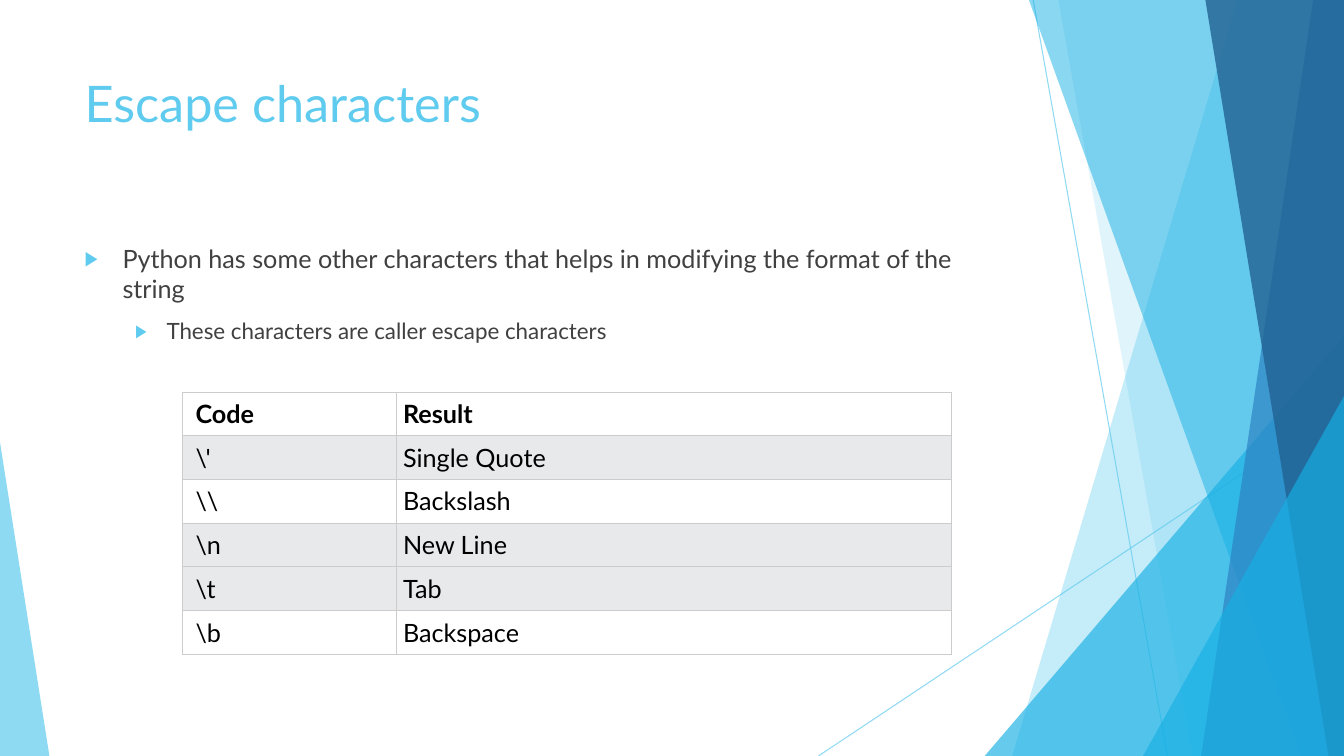
"""Build the slide about escape characters in Python strings."""
from lxml.etree import SubElement
from pptx import Presentation
from pptx.dml.color import RGBColor
from pptx.enum.shapes import MSO_CONNECTOR, MSO_SHAPE
from pptx.enum.text import MSO_ANCHOR, MSO_AUTO_SIZE, PP_ALIGN
from pptx.oxml.ns import qn
from pptx.util import Pt

COLORS = {
    "sky": "5FCBEF", "cyan": "17B0E4", "blue": "2E83C3", "navy": "226292",
    "text": "404040", "black": "000000", "white": "FFFFFF",
    "band": "E7E9EB", "border": "CCCCCC",
}
FONT = "Lato"
WIDTH, HEIGHT = 960, 540


def add_run(paragraph, text, size, color, bold=False):
    run = paragraph.add_run()
    run.text = text
    run.font.name = FONT
    run.font.size = Pt(size)
    run.font.bold = bold
    run.font.color.rgb = RGBColor.from_string(COLORS[color])


def set_alpha(shape, percent):
    for color in shape._element.spPr.iter(qn("a:srgbClr")):
        SubElement(color, qn("a:alpha"), val=str(percent * 1000))


presentation = Presentation()
presentation.slide_width = Pt(WIDTH)
presentation.slide_height = Pt(HEIGHT)
slide = presentation.slides.add_slide(presentation.slide_layouts[1])
shapes = slide.shapes
title, body = shapes.title, slide.placeholders[1]

for start_x, start_y, end_x in [(738, 0, 834), (WIDTH, 290, 584.6)]:
    line = shapes.add_connector(
        MSO_CONNECTOR.STRAIGHT, Pt(start_x), Pt(start_y), Pt(end_x), Pt(HEIGHT))
    line.line.width = Pt(0.75)
    line.line.color.rgb = RGBColor.from_string(COLORS["sky"])
    set_alpha(line, 70)
    SubElement(line._element.spPr, qn("a:effectLst"))

facets = [
    ("panel", (884, 723), "sky", 36),
    ("panel", (756, 852), "sky", 20),
    ("triangle", (703.4, 239.8, 256.6, 1), "cyan", 66),
    ("panel", (735, 929.5), "cyan", 50),
    ("panel", (938, 858), "blue", 70),
    ("panel", (861, 949), "navy", 80),
    ("triangle", (816.5, 283, 143.5, 1), "cyan", 66),
    ("triangle", (0, 316, 35.3, 0), "sky", 70),
]
for kind, geometry, color, opacity in facets:
    if kind == "panel":
        top_x, bottom_x = geometry
        builder = shapes.build_freeform(Pt(top_x), 0)
        corners = [(WIDTH, 0), (WIDTH, HEIGHT), (bottom_x, HEIGHT)]
        builder.add_line_segments([(Pt(x), Pt(y)) for x, y in corners], close=True)
        facet = builder.convert_to_shape()
    else:
        left, top, width, apex = geometry
        facet = shapes.add_shape(
            MSO_SHAPE.ISOSCELES_TRIANGLE, Pt(left), Pt(top), Pt(width), Pt(HEIGHT - top))
        facet.adjustments[0] = apex
    facet.shadow.inherit = False
    facet.line.fill.background()
    facet.fill.solid()
    facet.fill.fore_color.rgb = RGBColor.from_string(COLORS[color])
    set_alpha(facet, opacity)

for placeholder, top, height in [(title, 48, 104), (body, 170, 305.5)]:
    placeholder.left, placeholder.top = Pt(53.3), Pt(top)
    placeholder.width, placeholder.height = Pt(677), Pt(height)
    frame = placeholder.text_frame
    frame.word_wrap = True
    frame.auto_size = MSO_AUTO_SIZE.NONE
    frame.vertical_anchor = MSO_ANCHOR.TOP
    shapes._spTree.append(placeholder._element)

heading = title.text_frame.paragraphs[0]
heading.alignment = PP_ALIGN.LEFT
add_run(heading, "Escape characters", 36, "sky")

points = [
    ("Python has some other characters that helps in modifying the format of the string",
     18, 27, -27),
    ("These characters are caller escape characters", 16, 58.5, -22.5),
]
for level, (text, size, margin, indent) in enumerate(points):
    frame = body.text_frame
    paragraph = frame.add_paragraph() if level else frame.paragraphs[0]
    paragraph.level = level
    paragraph.space_before = Pt(10 * level)
    properties = paragraph._p.get_or_add_pPr()
    properties.set("marL", str(Pt(margin)))
    properties.set("indent", str(Pt(indent)))
    bullet_color = SubElement(properties, qn("a:buClr"))
    SubElement(bullet_color, qn("a:srgbClr"), val=COLORS["sky"])
    SubElement(properties, qn("a:buSzPct"), val="80000")
    SubElement(properties, qn("a:buChar"), char="▶")
    add_run(paragraph, text, size, "text")

rows = [
    ("Code", "Result", "white"),
    (r"\'", "Single Quote", "band"),
    (r"\\", "Backslash", "white"),
    (r"\n", "New Line", "band"),
    (r"\t", "Tab", "band"),
    (r"\b", "Backspace", "white"),
]
column_widths = [152.6, 396.7]
row_height = 31.2
table = shapes.add_table(
    len(rows), 2, Pt(130.3), Pt(280), Pt(sum(column_widths)),
    Pt(row_height * len(rows))).table
for column, width in zip(table.columns, column_widths):
    column.width = Pt(width)
for row_index, (code, result, fill) in enumerate(rows):
    table.rows[row_index].height = Pt(row_height)
    for column_index, text in enumerate((code, result)):
        cell = table.cell(row_index, column_index)
        cell.margin_left = Pt(5 if column_index else 9.4)
        cell.margin_right = cell.margin_top = cell.margin_bottom = Pt(4.8)
        add_run(cell.text_frame.paragraphs[0], text, 18, "black", row_index == 0)
        properties = cell._tc.get_or_add_tcPr()
        for side in ("lnL", "lnR", "lnT", "lnB"):
            border = SubElement(properties, qn(f"a:{side}"), w=str(Pt(0.6)))
            border_fill = SubElement(border, qn("a:solidFill"))
            SubElement(border_fill, qn("a:srgbClr"), val=COLORS["border"])
        cell.fill.solid()
        cell.fill.fore_color.rgb = RGBColor.from_string(COLORS[fill])

presentation.save("out.pptx")
